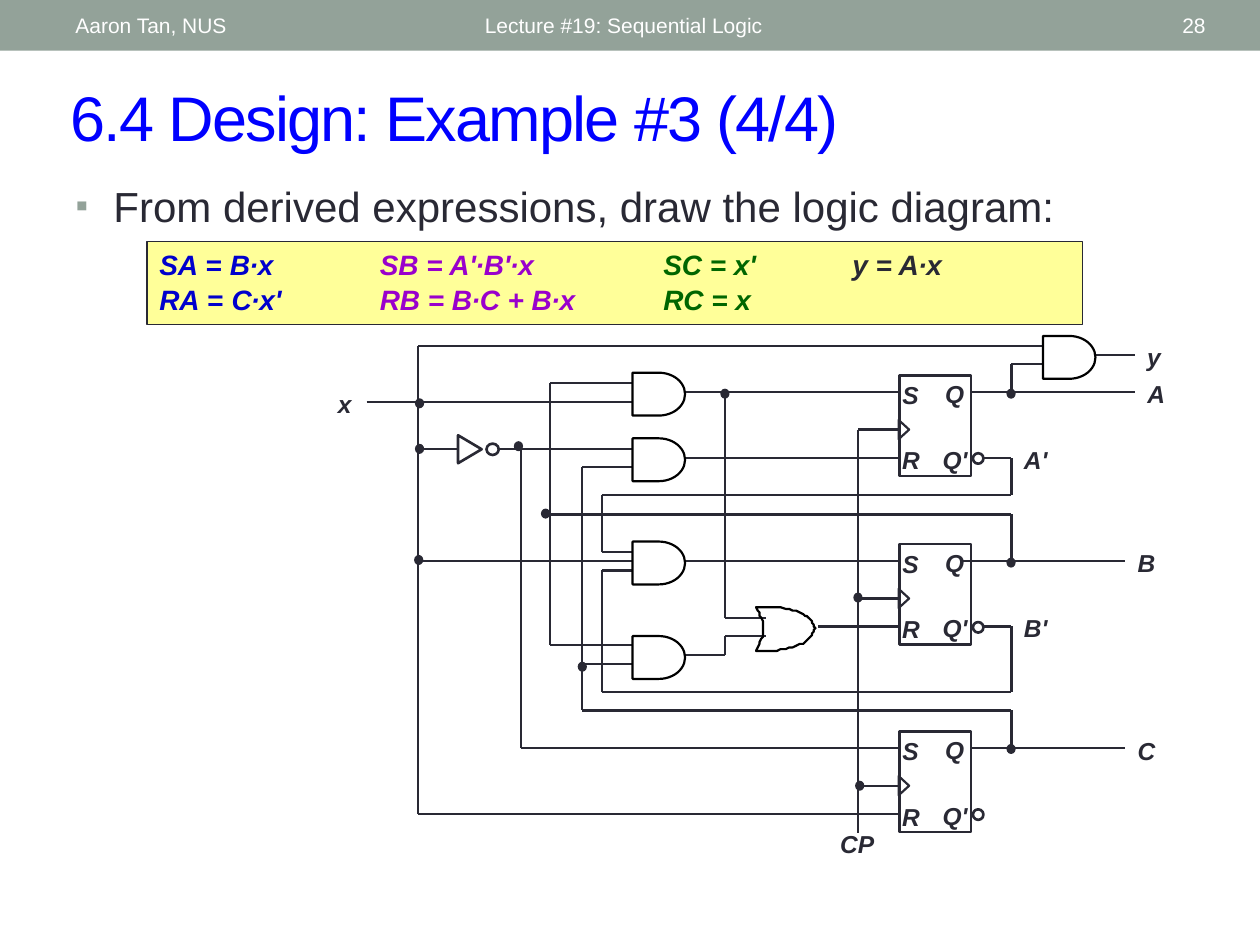
from dataclasses import dataclass
from itertools import pairwise

from lxml import etree
from pptx import Presentation
from pptx.dml.color import RGBColor
from pptx.enum.shapes import MSO_CONNECTOR, MSO_SHAPE
from pptx.enum.text import MSO_ANCHOR, MSO_AUTO_SIZE, PP_ALIGN
from pptx.oxml.ns import qn
from pptx.util import Pt

LEFT, RIGHT = PP_ALIGN.LEFT, PP_ALIGN.RIGHT
TOP, MIDDLE = MSO_ANCHOR.TOP, MSO_ANCHOR.MIDDLE
NO_FIT = MSO_AUTO_SIZE.NONE
STRAIGHT = MSO_CONNECTOR.STRAIGHT
RECT, OVAL, TRIANGLE = MSO_SHAPE.RECTANGLE, MSO_SHAPE.OVAL, MSO_SHAPE.ISOSCELES_TRIANGLE
AND_GATE, INVERTER = MSO_SHAPE.FLOWCHART_DELAY, MSO_SHAPE.FLOWCHART_EXTRACT
INK, BLACK, WHITE, SAGE = "292934", "000000", "FFFFFF", "93A299"
NAVY, PURPLE, GREEN = "0000CC", "9900CC", "006600"
CLOCK_X, FLIP_FLOP_X = 490.5, 514


@dataclass(frozen=True)
class Label:
    """A short signal name and its box."""
    text: str
    left: float
    top: float
    width: float


@dataclass(frozen=True)
class Header:
    """One text of the header bar."""
    text: str
    left: float
    width: float
    align: PP_ALIGN = LEFT


HEADERS = [
    Header("Lecture #19: Sequential Logic", 270, 324),
    Header("28", 628, 68, RIGHT),
    Header("Aaron Tan, NUS", 36, 228),
]
EXPRESSIONS = [
    (3.2, [("SA", NAVY, True), (" = ", NAVY, False), ("B∙x\t", NAVY, True),
           ("SB = A'∙B'∙x\t", PURPLE, True), ("SC = x'\t", GREEN, True),
           ("y = A∙x", INK, True)]),
    (0.8, [("RA", NAVY, True), (" = ", NAVY, False), ("C∙x'\t", NAVY, True),
           ("RB = B∙C + B∙x\t", PURPLE, True), ("RC = x", GREEN, True)]),
]
LABELS = [
    Label("x", 186, 219, 22.5), Label("y", 648.5, 192, 22.5),
    Label("A", 648.5, 213, 23), Label("A'", 578, 250.5, 28),
    Label("B", 643, 309.5, 24.5), Label("B'", 578, 347, 28),
    Label("C", 643, 417, 24.5), Label("CP", 473, 470, 34),
]
PIN_LABELS = [
    Label("S", 508.5, -1, 23.5), Label("Q", 533, -1.5, 25),
    Label("Q'", 531.5, 36, 29.5), Label("R", 508.5, 36.5, 24.5),
]
FLIP_FLOP_TOPS = [214.5, 311, 418]
AND_GATES = [(361.5, 213), (361.5, 250.5), (361.5, 309.5), (361.5, 363.5), (596, 192)]
WIRES = [
    [(596, 197.5), (239, 197.5), (239, 465), (514, 465)],
    [(209.5, 229.5), (361.5, 229.5)],
    [(239, 256.5), (262, 256.5)],
    [(286, 256.5), (361.5, 256.5)],
    [(297.5, 256.5), (297.5, 427.5), (514, 427.5)],
    [(239, 320.5), (361.5, 320.5)],
    [(361.5, 219), (314.5, 219), (314.5, 368.5), (361.5, 368.5)],
    [(361.5, 267), (332.5, 267), (332.5, 406), (578, 406), (578, 427.5)],
    [(332.5, 379.5), (361.5, 379.5)],
    [(361.5, 315.5), (344, 315.5), (344, 283), (578, 283), (578, 261.5), (555, 261.5)],
    [(361.5, 326), (344, 326), (344, 395.5), (578, 395.5), (578, 358), (555, 358)],
    [(314.5, 294), (578, 294), (578, 320.5)],
    [(391, 224), (514, 224)],
    [(391, 261.5), (514, 261.5)],
    [(391, 320.5), (514, 320.5)],
    [(391, 374.5), (414.5, 374.5), (414.5, 363.5), (438, 363.5)],
    [(414.5, 224), (414.5, 353), (438, 353)],
    [(467.5, 358), (514, 358)],
    [(555, 224), (648.5, 224)],
    [(549, 320.5), (643, 320.5)],
    [(555, 427.5), (643, 427.5)],
    [(578, 224), (578, 208), (596, 208)],
    [(625, 203), (648.5, 203)],
    [(CLOCK_X, 245.5), (CLOCK_X, 476)],
]
JUNCTIONS = [
    (412, 222.5), (330.5, 378.5), (309.5, 291), (294, 252.5), (237.5, 254),
    (237.5, 228), (237, 317.5), (575.5, 425.5), (575.5, 319), (575.5, 222.5),
    (488, 339), (489, 446.5),
]


def rgb(color: str) -> RGBColor:
    """Turn a hex string into a colour."""
    return RGBColor.from_string(color)


def write(p, text: str, *, size: float = 14, color: str = INK, bold: bool = False,
          italic: bool = False, spacing: int = 0) -> None:
    """Append a formatted run; spacing is in hundredths of a point."""
    r = p.add_run()
    r.text = text
    f = r.font
    f.name, f.size, f.bold, f.italic = "Arial", Pt(size), bold, italic
    f.color.rgb = rgb(color)
    if spacing:
        r.font._element.set("spc", str(spacing))


def place(sp, left: float, top: float, width: float, height: float) -> None:
    """Move and size a shape."""
    sp.left, sp.top, sp.width, sp.height = Pt(left), Pt(top), Pt(width), Pt(height)


def paint(sp, fill: str | None, line: str | None, weight: float) -> None:
    """Set fill and outline, without shadow."""
    sp.shadow.inherit = False
    if fill:
        sp.fill.solid()
        sp.fill.fore_color.rgb = rgb(fill)
    else:
        sp.fill.background()
    if line:
        sp.line.color.rgb = rgb(line)
        sp.line.width = Pt(weight)
    else:
        sp.line.fill.background()


def add_box(s, kind: MSO_SHAPE, left: float, top: float, width: float, height: float, *,
            fill: str | None = None, line: str | None = INK, weight: float = 1.25,
            rotation: float = 0):
    """Add a preset shape."""
    sp = s.shapes.add_shape(kind, Pt(left), Pt(top), Pt(width), Pt(height))
    sp.rotation = rotation
    paint(sp, fill, line, weight)
    return sp


def add_wire(s, points: list[tuple[float, float]]) -> None:
    """Join the points with straight connectors."""
    for start, end in pairwise(points):
        c = s.shapes.add_connector(STRAIGHT, *map(Pt, start + end))
        c.line.color.rgb = rgb(INK)
        c.line.width = Pt(1.25)
        etree.SubElement(c._element.spPr, qn("a:effectLst"))


def add_label(s, label: Label, dy: float = 0) -> None:
    """Add a signal name, shifted down by dy."""
    tf = s.shapes.add_textbox(Pt(label.left), Pt(label.top + dy),
                              Pt(label.width), Pt(24)).text_frame
    tf.word_wrap = False
    write(tf.paragraphs[0], label.text, bold=True, italic=True)


def add_flip_flop(s, top: float) -> None:
    """Add an SR flip-flop with pins, clock input and inverted output."""
    add_wire(s, [(CLOCK_X, top + 31), (FLIP_FLOP_X, top + 31)])
    add_box(s, RECT, FLIP_FLOP_X, top, 41, 57.5, weight=1.5)
    for pin in PIN_LABELS:
        add_label(s, pin, top)
    add_box(s, TRIANGLE, 511, top + 28, 11, 6, rotation=90)
    add_box(s, OVAL, 556, top + 44.5, 6, 6, fill=WHITE, weight=1.5)


def curve(*ctrl: tuple[float, float], steps: int = 8) -> list[tuple[float, float]]:
    """Sample a cubic Bezier curve."""
    weights = [((1 - t) ** 3, 3 * t * (1 - t) ** 2, 3 * t * t * (1 - t), t ** 3)
               for t in (i / steps for i in range(steps + 1))]
    return [tuple(sum(w * c[axis] for w, c in zip(ws, ctrl)) for axis in (0, 1))
            for ws in weights]


def add_or_gate(s) -> None:
    """Add the OR gate, symmetric about its middle line."""
    middle = 359.25
    upper = (curve((436.5, middle), (436.5, 355.5), (434, 351.5), (432, 347))
             + curve((444, 347), (450, 348), (456.5, 349.5), (460, 351.5))
             + curve((460, 351.5), (463.5, 353.5), (464.5, 356.5), (466, middle)))
    lower = [(x, 2 * middle - y) for x, y in reversed(upper)]
    first, *rest = upper + lower
    fb = s.shapes.build_freeform(*first, scale=Pt(1))
    fb.add_line_segments(rest, close=True)
    paint(fb.convert_to_shape(), None, BLACK, 1.25)


def add_bullet(p) -> None:
    """Give the paragraph a small square bullet with a hanging indent."""
    pPr = p._p.get_or_add_pPr()
    pPr.set("marL", str(Pt(21.6)))
    pPr.set("indent", str(-Pt(21.6)))
    clr = etree.SubElement(pPr, qn("a:buClr"))
    etree.SubElement(clr, qn("a:srgbClr"), val=SAGE)
    etree.SubElement(pPr, qn("a:buSzPct"), val="85000")
    etree.SubElement(pPr, qn("a:buFont"), typeface="Arial")
    etree.SubElement(pPr, qn("a:buChar"), char="▪")


def add_heading(s) -> None:
    """Add the header bar and fill the title and body placeholders."""
    add_box(s, RECT, 0, 0, 720, 29, fill=SAGE, line=None)
    for h in HEADERS:
        tf = s.shapes.add_textbox(Pt(h.left), Pt(1.5), Pt(h.width), Pt(26)).text_frame
        tf.word_wrap, tf.vertical_anchor = True, MIDDLE
        tf.paragraphs[0].alignment = h.align
        write(tf.paragraphs[0], h.text, size=12, color=WHITE)
    title, body = s.placeholders
    place(title, 33, 41, 663, 50.5)
    place(body, 36, 99.5, 648, 386.5)
    for sp, anchor in ((title, MIDDLE), (body, TOP)):
        sp.text_frame.auto_size = NO_FIT
        sp.text_frame.vertical_anchor = anchor
    p = title.text_frame.paragraphs[0]
    p.alignment = LEFT
    write(p, "6.4 Design: Example #3 (4/4)", size=36, color="0000FF", spacing=-100)
    p = body.text_frame.paragraphs[0]
    add_bullet(p)
    p.space_before = Pt(4.8)
    write(p, "From derived expressions, draw the logic diagram:", size=24)


def add_expressions(s) -> None:
    """Add the yellow box with the input equations in tabbed columns."""
    tf = add_box(s, RECT, 84, 138, 534.5, 47.5, fill="FFFF99", weight=0.75).text_frame
    tf.word_wrap, tf.vertical_anchor = True, TOP
    for i, (before, runs) in enumerate(EXPRESSIONS):
        p = tf.add_paragraph() if i else tf.paragraphs[0]
        p.alignment, p.space_before = LEFT, Pt(before)
        tabs = etree.SubElement(p._p.get_or_add_pPr(), qn("a:tabLst"))
        for pos in (126, 288, 396):
            etree.SubElement(tabs, qn("a:tab"), pos=str(Pt(pos)), algn="l")
        for text, color, italic in runs:
            write(p, text, size=16, color=color, bold=True, italic=italic)


def add_circuit(s) -> None:
    """Draw the logic diagram."""
    for points in WIRES:
        add_wire(s, points)
    for left, top in AND_GATES:
        add_box(s, AND_GATE, left, top, 30, 24.5, line=BLACK)
    add_or_gate(s)
    add_box(s, INVERTER, 260.5, 250, 16, 13.5, weight=1.5, rotation=90)
    add_box(s, OVAL, 278, 253.5, 7, 6.5, weight=1.5)
    for top in FLIP_FLOP_TOPS:
        add_flip_flop(s, top)
    for left, top in JUNCTIONS:
        add_box(s, OVAL, left, top, 4.5, 5, fill=INK, weight=0.75)
    for label in LABELS:
        add_label(s, label)


prs = Presentation()
prs.slide_width, prs.slide_height = Pt(720), Pt(540)
slide = prs.slides.add_slide(prs.slide_layouts[1])
add_heading(slide)
add_expressions(slide)
add_circuit(slide)
prs.save("out.pptx")
